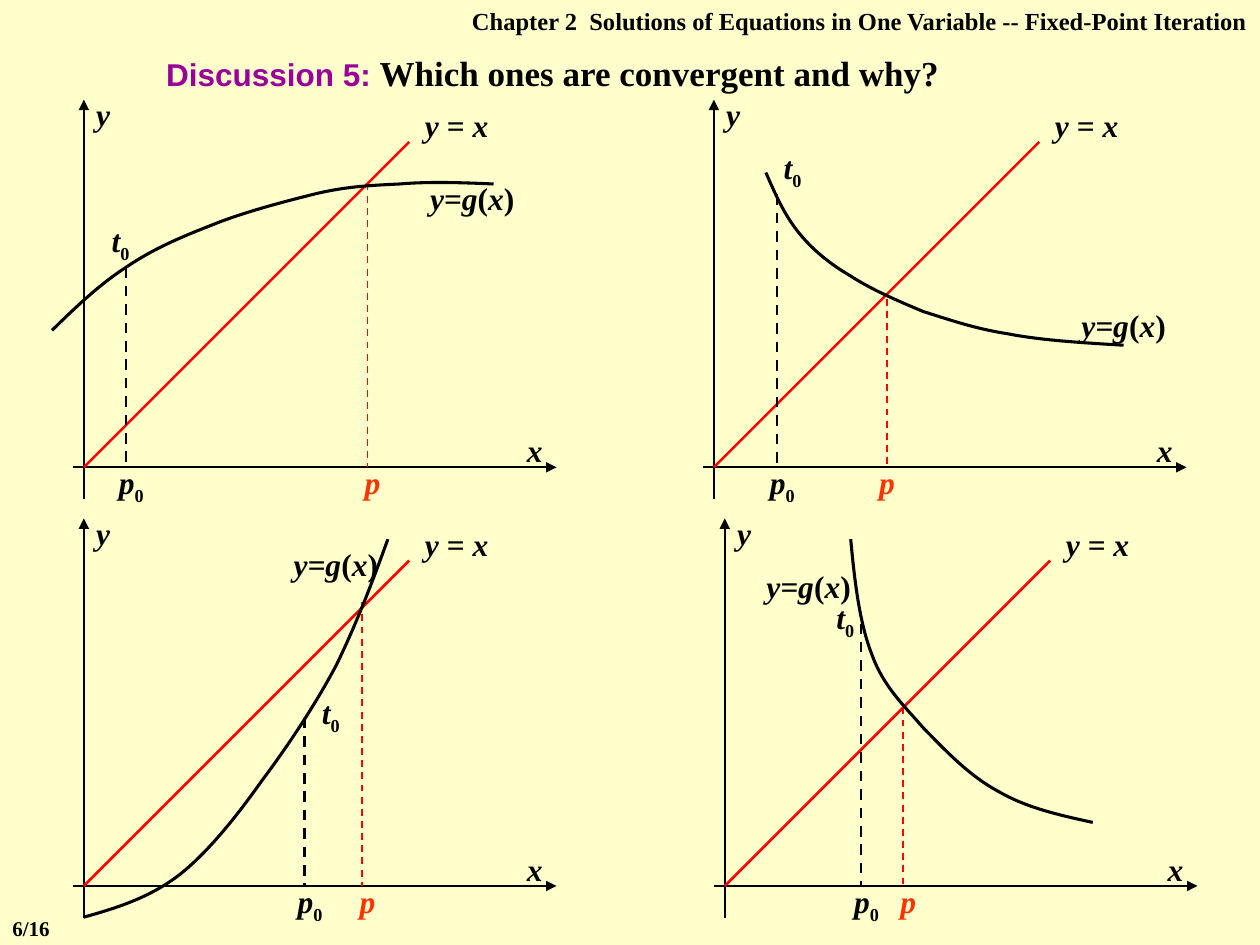
from lxml.etree import SubElement
from pptx import Presentation
from pptx.dml.color import RGBColor
from pptx.enum.dml import MSO_LINE
from pptx.enum.shapes import MSO_CONNECTOR
from pptx.enum.text import PP_ALIGN
from pptx.oxml.ns import qn
from pptx.util import Cm, Pt

BLACK, RED, ORANGE, PURPLE, CREAM = "000000", "FF0000", "FF3300", "990099", "FFFFCC"
SERIF, SANS = "Times New Roman", "Arial"
G_OF_X = [("y=g", True), ("(", False), ("x", True), (")", False)]

PLOTS = [
    dict(
        origin=(1.69, 9.42), start=(0.85, 4.03), start_label=(0.21, 5.08),
        fixed=(5.72, 5.72), fixed_label=5.08, curve_label=(6.56, 5.93),
        curve=[(-0.64, 2.76), (-0.17, 3.22), (0.31, 3.68), (0.85, 4.03),
               (1.38, 4.39), (1.91, 4.62), (2.55, 4.87),
               (3.18, 5.13), (4.02, 5.35), (4.66, 5.51),
               (5.29, 5.66), (5.75, 5.68), (6.36, 5.71),
               (6.94, 5.76), (7.6, 5.74), (8.26, 5.71)]),
    dict(
        origin=(14.39, 9.42), start=(1.27, 5.5), start_label=(1.06, 6.56),
        fixed=(3.49, 3.39), fixed_label=2.75, curve_label=(6.99, 3.37),
        curve=[(1.05, 5.94), (1.23, 5.53), (1.4, 5.13), (1.68, 4.77),
               (1.96, 4.41), (2.32, 4.11), (2.75, 3.86),
               (3.18, 3.58), (3.72, 3.35), (4.22, 3.14),
               (4.76, 2.97), (5.27, 2.79), (5.93, 2.69),
               (6.59, 2.56), (7.42, 2.51), (8.26, 2.46)]),
    dict(
        origin=(1.69, 17.86), start=(4.45, 3.39), start_label=(4.45, 4.02),
        fixed=(5.61, 5.72), fixed_label=4.98, curve_label=(3.81, 6.99),
        curve=[(0, -0.63), (0.64, -0.45), (1.3, -0.25), (1.91, 0.21),
               (2.5, 0.67), (3.08, 1.4), (3.59, 2.12),
               (4.12, 2.83), (4.66, 3.64), (5.09, 4.45),
               (5.49, 5.27), (5.82, 6.13), (6.13, 6.99)]),
    dict(
        origin=(14.61, 17.86), start=(2.75, 5.29), start_label=(1.9, 5.93),
        fixed=(3.6, 3.6), fixed_label=2.96, curve_label=(0.42, 6.56),
        curve=[(2.54, 6.99), (2.62, 6.13), (2.72, 5.29), (2.97, 4.66),
               (3.2, 4.02), (3.61, 3.64), (4.01, 3.18),
               (4.45, 2.73), (4.93, 2.22), (5.51, 1.91),
               (6.07, 1.58), (6.73, 1.43), (7.42, 1.28)]),
]


def rgb(color):
    return RGBColor.from_string(color)


def style_font(font, size, color=BLACK, name=SERIF):
    font.size, font.name, font.bold = Pt(size), name, True
    font.color.rgb = rgb(color)


def add_paragraph_box(shapes, left, top, width, height, align=PP_ALIGN.LEFT):
    frame = shapes.add_textbox(Cm(left), Cm(top), Cm(width), Cm(height)).text_frame
    frame.word_wrap = True
    paragraph = frame.paragraphs[0]
    paragraph.alignment = align
    return paragraph


def add_caption(shapes, text, size, box, align=PP_ALIGN.LEFT):
    paragraph = add_paragraph_box(shapes, *box, align)
    paragraph.add_run().text = text
    style_font(paragraph.font, size)


def add_title(shapes):
    paragraph = add_paragraph_box(shapes, 3.1, 0.91, 19.2, 1.12)
    for text, size, color, name in (
            ("Discussion 5: ", 18, PURPLE, SANS),
            ("Which ones are convergent and why?", 20, BLACK, SERIF)):
        run = paragraph.add_run()
        run.text = text
        style_font(run.font, size, color, name)


def add_math(shapes, origin, place, width, pieces, subscript="",
             color=BLACK, align=PP_ALIGN.CENTER):
    left, top = origin[0] + place[0], origin[1] - place[1]
    paragraph = add_paragraph_box(shapes, left, top, width, 1.02, align)
    style_font(paragraph.font, 18, color)
    for text, italic in pieces:
        run = paragraph.add_run()
        run.text, run.font.italic = text, italic
    if subscript:
        run = paragraph.add_run()
        run.text = subscript
        run.font._element.set("baseline", "-25000")


def add_segment(shapes, origin, start, end, color, width, dashed=False, arrow=False):
    (x1, y1), (x2, y2) = start, end
    segment = shapes.add_connector(
        MSO_CONNECTOR.STRAIGHT, Cm(origin[0] + x1), Cm(origin[1] - y1),
        Cm(origin[0] + x2), Cm(origin[1] - y2))
    segment.line.color.rgb = rgb(color)
    segment.line.width = Pt(width)
    if dashed:
        segment.line.dash_style = MSO_LINE.DASH
    if arrow:
        SubElement(segment.line._get_or_add_ln(), qn("a:tailEnd"), type="triangle")
    SubElement(segment._element.spPr, qn("a:effectLst"))


def add_curve(shapes, origin, points):
    first, *rest = [(Cm(origin[0] + x), Cm(origin[1] - y)) for x, y in points]
    builder = shapes.build_freeform(*first)
    builder.add_line_segments(rest, close=False)
    curve = builder.convert_to_shape()
    curve.shadow.inherit = False
    curve.fill.background()
    curve.line.color.rgb = rgb(BLACK)
    curve.line.width = Pt(1.75)
    steps = list(curve._element.iter(qn("a:lnTo")))
    outline = steps[0].getparent()
    for i in range(0, len(steps), 3):
        bezier = SubElement(outline, qn("a:cubicBezTo"))
        for step in steps[i:i + 3]:
            bezier.append(step[0])
            outline.remove(step)


def add_plot(shapes, origin, start, start_label, fixed, fixed_label, curve_label, curve):
    add_segment(shapes, origin, (-0.21, 0), (9.53, 0), BLACK, 1, arrow=True)
    add_segment(shapes, origin, (0, -0.64), (0, 7.41), BLACK, 1, arrow=True)
    add_segment(shapes, origin, (0, 0), (6.56, 6.56), RED, 1.5)
    add_segment(shapes, origin, fixed, (fixed[0], 0), RED, 1, dashed=True)
    add_segment(shapes, origin, start, (start[0], 0), BLACK, 1.5, dashed=True)
    add_curve(shapes, origin, curve)

    add_math(shapes, origin, (8.68, 0.85), 0.85, [("x", True)], align=PP_ALIGN.LEFT)
    add_math(shapes, origin, (0, 7.62), 0.85, [("y", True)], align=PP_ALIGN.LEFT)
    add_math(shapes, origin, (6.56, 7.41), 1.91, [("y = x", True)])
    add_math(shapes, origin, curve_label, 2.54, G_OF_X)
    add_math(shapes, origin, (fixed_label, 0.21), 1.48, [("p", True)], color=ORANGE)
    add_math(shapes, origin, (start[0] - 0.42, 0.21), 1.06, [("p", True)], "0")
    add_math(shapes, origin, start_label, 1.06, [("t", True)], "0")


def main():
    deck = Presentation()
    deck.slide_width, deck.slide_height = Cm(25.4), Cm(19.05)
    slide = deck.slides.add_slide(deck.slide_layouts[6])
    slide.background.fill.solid()
    slide.background.fill.fore_color.rgb = rgb(CREAM)

    add_caption(slide.shapes,
                "Chapter 2  Solutions of Equations in One Variable -- Fixed-Point Iteration",
                14, (7.82, 0, 17.58, 0.86), PP_ALIGN.RIGHT)
    add_caption(slide.shapes, "6/16", 12, (0, 18.33, 1.47, 0.76))
    for plot in PLOTS:
        add_plot(slide.shapes.add_group_shape().shapes, **plot)
    add_title(slide.shapes)
    deck.save("out.pptx")


if __name__ == "__main__":
    main()
